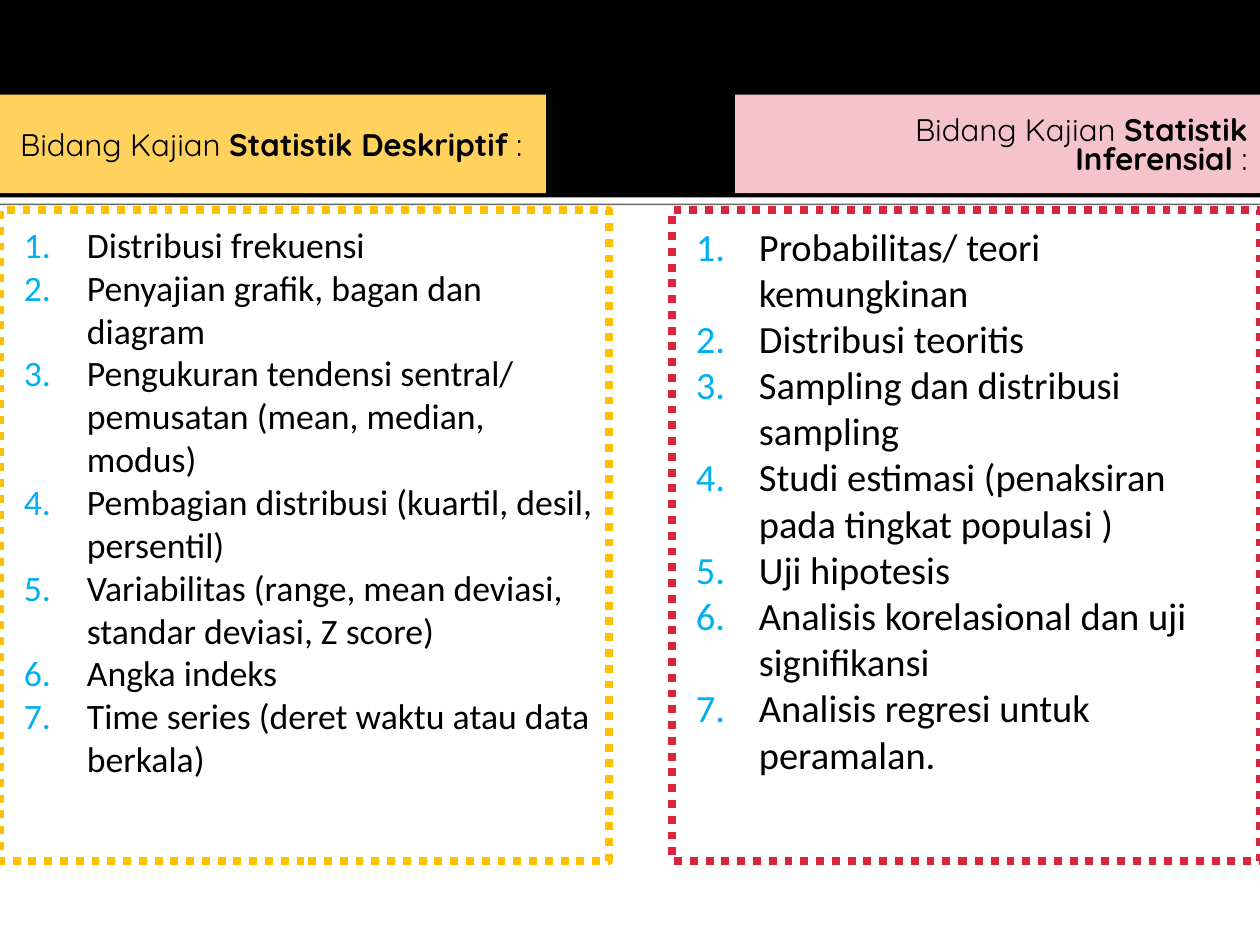
from dataclasses import dataclass

from lxml.etree import SubElement
from pptx import Presentation
from pptx.dml.color import RGBColor
from pptx.enum.dml import MSO_LINE
from pptx.enum.shapes import MSO_SHAPE
from pptx.enum.text import MSO_ANCHOR, MSO_AUTO_SIZE, PP_ALIGN
from pptx.oxml import parse_xml
from pptx.oxml.ns import nsdecls, qn
from pptx.util import Inches, Pt


@dataclass(frozen=True)
class Theme:
    heading_font: str = "Quicksand"
    list_font: str = "Calibri"
    heading_size: float = 17.8
    border_width: float = 4.5
    black: str = "000000"
    white: str = "FFFFFF"
    number: str = "00B0F0"


theme = Theme()
UNIT = Inches(10) / 60  # the slide is a grid of 60 columns by 45 rows


def place(shape, column, row, columns, rows):
    shape.left, shape.top = round(column * UNIT), round(row * UNIT)
    shape.width, shape.height = round(columns * UNIT), round(rows * UNIT)


def prepare_text(shape, left_inset, anchor):
    """Set the wrapping, anchor and insets shared by headings and lists."""
    frame = shape.text_frame
    frame.word_wrap = True
    frame.auto_size = MSO_AUTO_SIZE.NONE
    frame.vertical_anchor = anchor
    frame.margin_left, frame.margin_top = Inches(left_inset), Inches(0.1)
    frame.margin_right, frame.margin_bottom = Inches(0.1), Inches(0.05)
    return frame


# Each side: heading, alignment, fill, (column, width), then
# list border, size, (column, width) and items.
sides = [
    ("Statistik Deskriptif ", PP_ALIGN.LEFT, "FFD25D", (0, 26),
     "FFC000", 20.4, (0, 29), [
         "Distribusi frekuensi",
         "Penyajian grafik, bagan dan diagram",
         "Pengukuran tendensi sentral/ pemusatan (mean, median, modus)",
         "Pembagian distribusi (kuartil, desil, persentil)",
         "Variabilitas (range, mean deviasi, standar deviasi, Z score)",
         "Angka indeks",
         "Time series (deret waktu atau data berkala)",
     ]),
    ("Statistik Inferensial ", PP_ALIGN.RIGHT, "F5C4CB", (35, 25),
     "D9253E", 22, (32, 28), [
         "Probabilitas/ teori kemungkinan",
         "Distribusi teoritis",
         "Sampling dan distribusi sampling",
         "Studi estimasi (penaksiran pada tingkat populasi )",
         "Uji hipotesis",
         "Analisis korelasional dan uji signifikansi",
         "Analisis regresi untuk peramalan.",
     ]),
]

deck = Presentation()
deck.slide_width, deck.slide_height = Inches(10), Inches(7.5)
page = deck.slides.add_slide(deck.slide_layouts[4])
title = page.shapes.title._element
tree = title.getparent()
tree.remove(title)

# Black header band over a thin white strip, both behind the placeholders
for depth, (row, rows, color) in enumerate([(9.4, 0.3, theme.white), (0, 9.4, theme.black)]):
    band = page.shapes.add_shape(MSO_SHAPE.RECTANGLE, 0, 0, 0, 0)
    place(band, 0, row, 60, rows)
    band.shadow.inherit = False
    band.fill.solid()
    band.fill.fore_color.rgb = RGBColor.from_string(color)
    band.line.fill.background()
    tree.insert(2 + depth, band._element)
    if color == theme.white:
        effects = band._element.spPr.find(qn("a:effectLst"))
        effects.append(parse_xml(
            f'<a:outerShdw {nsdecls("a")} blurRad="0" dist="{Pt(0.8)}" dir="5400000">'
            f'<a:srgbClr val="{theme.black}"><a:alpha val="60000"/></a:srgbClr></a:outerShdw>'))

slots = {slot.placeholder_format.idx: slot for slot in page.placeholders}
for index, side in enumerate(sides):
    name, alignment, fill, heading_span, border, size, list_span, items = side

    heading = slots[2 * index + 1]
    place(heading, heading_span[0], 4.5, heading_span[1], 4.7)
    heading.fill.solid()
    heading.fill.fore_color.rgb = RGBColor.from_string(fill)
    para = prepare_text(heading, 0.16, MSO_ANCHOR.MIDDLE).paragraphs[0]
    para.alignment = alignment
    para.line_spacing = 0.8
    para.space_before = Pt(0)
    for text, bold in [("Bidang Kajian ", False), (name, True), (":", False)]:
        span = para.add_run()
        span.text = text
        span.font.name = theme.heading_font
        span.font.size = Pt(theme.heading_size)
        span.font.bold = bold
        span.font.color.rgb = RGBColor.from_string(theme.black)

    box = slots[2 * index + 2]
    place(box, list_span[0], 10, list_span[1], 31)
    box.line.color.rgb = RGBColor.from_string(border)
    box.line.width = Pt(theme.border_width)
    box.line.dash_style = MSO_LINE.ROUND_DOT  # stored as sysDot
    frame = prepare_text(box, 0.06, MSO_ANCHOR.TOP)
    for number, item in enumerate(items):
        para = frame.add_paragraph() if number else frame.paragraphs[0]
        para.space_before = Pt(0)
        layout = para._p.get_or_add_pPr()
        layout.set("marL", str(Inches(0.63)))
        layout.set("indent", str(Inches(-0.5)))
        SubElement(SubElement(layout, qn("a:buClr")), qn("a:srgbClr"), val=theme.number)
        SubElement(layout, qn("a:buFont"), typeface=theme.list_font)
        SubElement(layout, qn("a:buAutoNum"), type="arabicPeriod")
        span = para.add_run()
        span.text = item
        span.font.name = theme.list_font
        span.font.size = Pt(size)
        span.font.color.rgb = RGBColor.from_string(theme.black)

deck.save("out.pptx")
